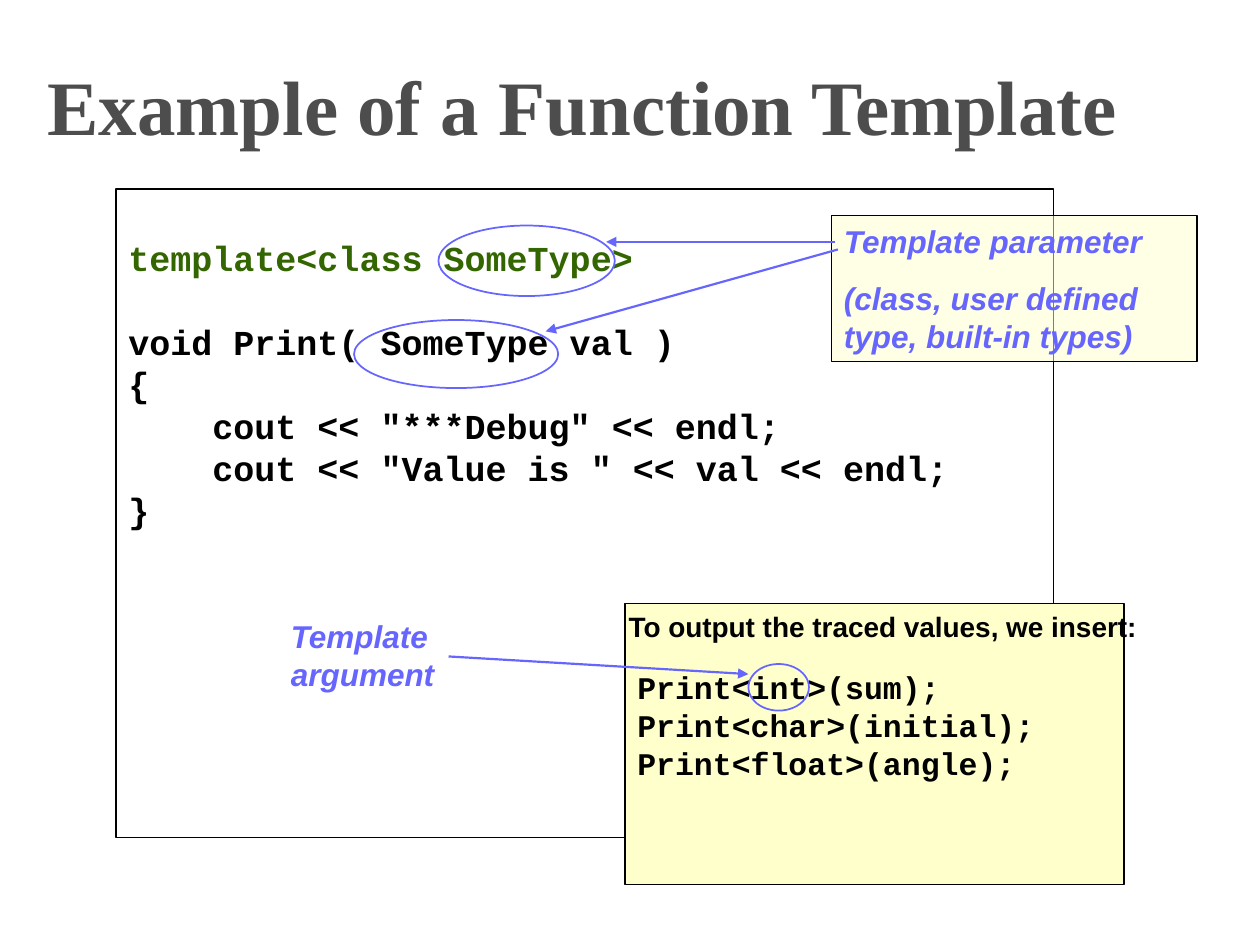
from lxml import etree
from pptx import Presentation, util as u
from pptx.dml.color import RGBColor
from pptx.enum import shapes, text
from pptx.oxml.ns import qn

BLACK = RGBColor(0x00, 0x00, 0x00)
WHITE = RGBColor(0xFF, 0xFF, 0xFF)
GRAY = RGBColor(0x4D, 0x4D, 0x4D)
GREEN = RGBColor(0x33, 0x66, 0x00)
BLUE = RGBColor(0x66, 0x66, 0xFF)
YELLOW = RGBColor(0xFF, 0xFF, 0xCC)

# Text formats
TITLE = dict(name="Times New Roman", size=u.Pt(44), bold=True)
CODE = dict(name="Courier New", size=u.Pt(20), bold=True)
CALL = dict(CODE, size=u.Pt(18))
CAPTION = dict(name="Arial", size=u.Pt(16), bold=True)
NOTE = dict(name="Arial", size=u.Pt(18), bold=True, italic=True)

# Content: each line is (text, colour, space before in points)
TITLE_LINES = [("Example of a Function Template", GRAY, 0)]
CODE_LINES = [
    ("template<class SomeType>", GREEN, 0),
    ("void Print( SomeType val )", BLACK, 24),
    ("{", BLACK, 0),
    ('    cout << "***Debug" << endl;', BLACK, 0),
    ('    cout << "Value is " << val << endl;', BLACK, 0),
    ("}", BLACK, 0),
]
CALL_LINES = [
    ("Print<int>(sum);", BLACK, 0),
    ("Print<char>(initial);", BLACK, 0),
    ("Print<float>(angle);", BLACK, 0),
]
CAPTION_LINES = [("To output the traced values, we insert:", BLACK, 0)]
PARAMETER_LINES = [
    ("Template parameter", BLUE, 0),
    ("(class, user defined type, built-in types)", BLUE, 11.2),
]
ARGUMENT_LINES = [("Template argument", BLUE, 0)]

# Boxes: place, lines, format, fill, line width, frame settings
TOP = text.MSO_ANCHOR.TOP
MIDDLE = text.MSO_ANCHOR.MIDDLE
BOXES = [
    ((0.92, 1.5, 7.44, 5.15), CODE_LINES, CODE, WHITE, 0.75,
     dict(vertical_anchor=TOP, margin_top=u.Inches(0.38))),
    ((4.96, 4.79, 3.96, 2.23), CALL_LINES, CALL, YELLOW, 1,
     dict(vertical_anchor=MIDDLE, margin_bottom=u.Inches(0.35))),
    ((4.89, 4.79, 4.48, 0.37), CAPTION_LINES, CAPTION, None, 0,
     dict(vertical_anchor=TOP)),
    ((6.6, 1.71, 2.9, 1.16), PARAMETER_LINES, NOTE, YELLOW, 1,
     dict(vertical_anchor=TOP)),
    ((2.21, 4.85, 1.92, 0.7), ARGUMENT_LINES, NOTE, None, 0,
     dict(vertical_anchor=TOP)),
]
# Rings around the types, and arrows (from x, y, to x, y)
RINGS = [(3.48, 1.79, 1.4, 0.56), (2.81, 2.54, 1.62, 0.54), (5.94, 5.27, 0.48, 0.37)]
ARROWS = [(6.63, 1.92, 4.81, 1.92), (6.65, 1.98, 4.33, 2.63), (3.56, 5.21, 5.94, 5.35)]


def inches(values):
    return [u.Inches(value) for value in values]


def apply(target, values):
    for name, value in values.items():
        setattr(target, name, value)


def write(shape, lines, style, frame_values, alignment=text.PP_ALIGN.LEFT):
    frame = shape.text_frame
    apply(frame, dict(word_wrap=True, auto_size=text.MSO_AUTO_SIZE.NONE, **frame_values))
    for index, (line, color, before) in enumerate(lines):
        paragraph = frame.add_paragraph() if index else frame.paragraphs[0]
        run = paragraph.add_run()
        run.text = line
        apply(paragraph, dict(alignment=alignment, space_before=u.Pt(before)))
        apply(run.font, style)
        run.font.color.rgb = color


def add_box(slide, place, lines, style, fill, width, frame_values):
    if fill is None:
        shape = slide.shapes.add_textbox(*inches(place))
    else:
        shape = slide.shapes.add_shape(shapes.MSO_SHAPE.RECTANGLE, *inches(place))
        shape.shadow.inherit = False
        shape.fill.solid()
        shape.fill.fore_color.rgb = fill
        shape.line.color.rgb = BLACK
        shape.line.width = u.Pt(width)
    write(shape, lines, style, frame_values)
    return shape


def add_ring(slide, place):
    ring = slide.shapes.add_shape(shapes.MSO_SHAPE.OVAL, *inches(place))
    ring.shadow.inherit = False
    ring.fill.background()
    ring.line.color.rgb = BLUE
    ring.line.width = u.Pt(1)


def add_arrow(slide, ends):
    arrow = slide.shapes.add_connector(shapes.MSO_CONNECTOR.STRAIGHT, *inches(ends))
    arrow.line.color.rgb = BLUE
    arrow.line.width = u.Pt(1.25)
    etree.SubElement(arrow.line._get_or_add_ln(), qn("a:tailEnd"), type="triangle")
    etree.SubElement(arrow._element.spPr, qn("a:effectLst"))


def main():
    presentation = Presentation()
    presentation.slide_width, presentation.slide_height = inches((10, 7.5))
    slide = presentation.slides.add_slide(presentation.slide_layouts[5])

    # Title
    title = slide.shapes.title
    apply(title, dict(zip(("left", "top", "width", "height"), inches((0, 0, 9.25, 1.25)))))
    write(title, TITLE_LINES, TITLE, dict(vertical_anchor=text.MSO_ANCHOR.BOTTOM),
          text.PP_ALIGN.CENTER)

    # Code, calls and notes; the parameter note is half transparent
    for box in BOXES:
        shape = add_box(slide, *box)
        if box[1] is PARAMETER_LINES:
            color = shape._element.spPr.find(qn("a:solidFill"))[0]
            etree.SubElement(color, qn("a:alpha"), val="50000")

    # Rings and arrows
    for place in RINGS:
        add_ring(slide, place)
    for ends in ARROWS:
        add_arrow(slide, ends)

    presentation.save("out.pptx")


if __name__ == "__main__":
    main()
